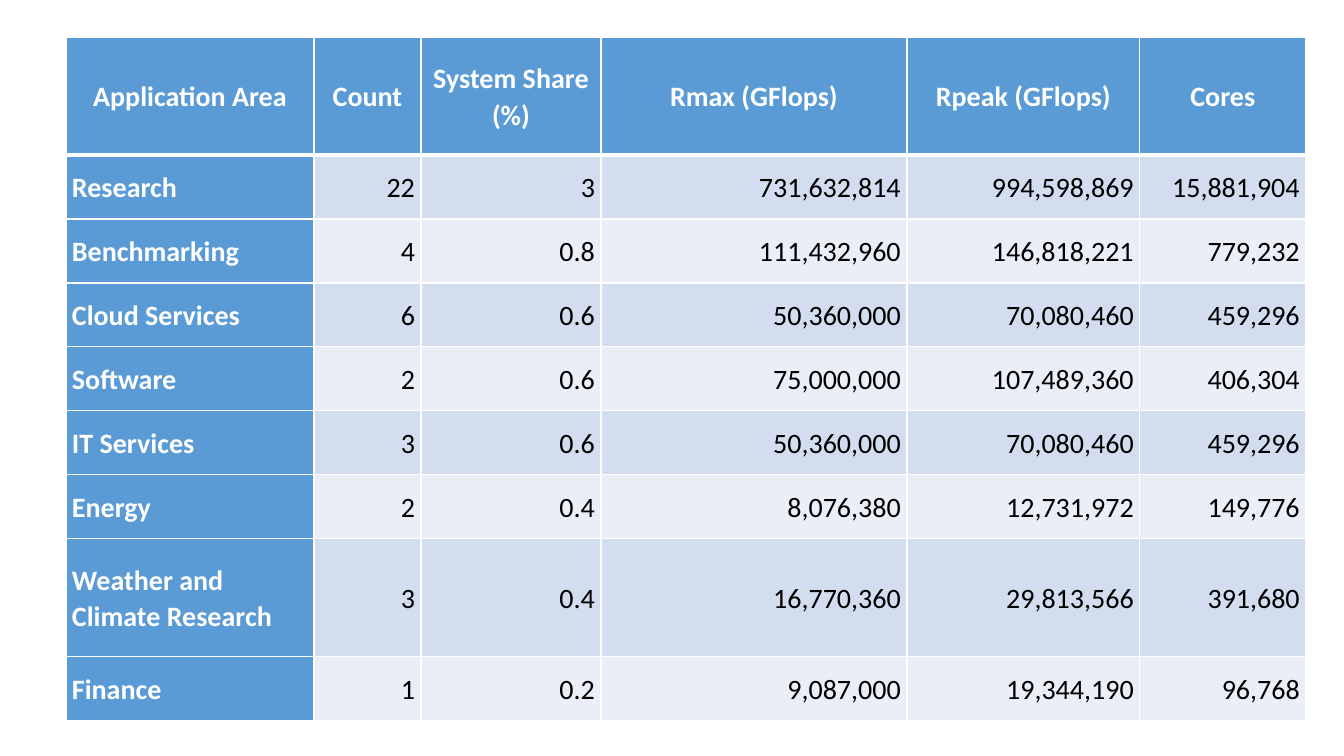
import dataclasses

import lxml.etree
import pptx
import pptx.dml.color
import pptx.enum.text
import pptx.oxml.ns
import pptx.util

SLIDE_WIDTH, SLIDE_HEIGHT = 1344, 756
EMU_PER_PX = pptx.util.Inches(7.5) / SLIDE_HEIGHT
ALIGN = pptx.enum.text.PP_ALIGN


@dataclasses.dataclass(frozen=True)
class Theme:
    font: str = "Calibri"
    text_size: int = 20
    space_after: int = 8
    line_spacing: float = 1.07
    heading_fill: str = "5B9BD5"
    heading_text: str = "FFFFFF"
    body_text: str = "000000"
    bands: tuple = ("D2DEEF", "EAEFF7")
    border: str = "FFFFFF"
    thin: int = 1
    thick: int = 3


THEME = Theme()

TABLE_LEFT, TABLE_TOP = 66, 37
COLUMN_WIDTHS = (248, 107, 180, 306, 233, 166)
ROW_HEIGHT, TALL_ROW_HEIGHT = 64, 118
TALL_ROWS = ("Application Area", "Weather and Climate Research")
SIDE_MARGIN, END_MARGIN = 6, 2

ROWS = (
    ("Application Area", "Count", "System Share (%)", "Rmax (GFlops)", "Rpeak (GFlops)", "Cores"),
    ("Research", "22", "3", "731,632,814", "994,598,869", "15,881,904"),
    ("Benchmarking", "4", "0.8", "111,432,960", "146,818,221", "779,232"),
    ("Cloud Services", "6", "0.6", "50,360,000", "70,080,460", "459,296"),
    ("Software", "2", "0.6", "75,000,000", "107,489,360", "406,304"),
    ("IT Services", "3", "0.6", "50,360,000", "70,080,460", "459,296"),
    ("Energy", "2", "0.4", "8,076,380", "12,731,972", "149,776"),
    ("Weather and Climate Research", "3", "0.4", "16,770,360", "29,813,566", "391,680"),
    ("Finance", "1", "0.2", "9,087,000", "19,344,190", "96,768"),
)


def px(length):
    return pptx.util.Emu(round(length * EMU_PER_PX))


def rgb(color):
    return pptx.dml.color.RGBColor.from_string(color)


def add_borders(cell, top, bottom):
    """Draw all four cell borders; must run before the fill is set (schema order)."""
    qn = pptx.oxml.ns.qn
    properties = cell._tc.get_or_add_tcPr()
    widths = {"a:lnL": THEME.thin, "a:lnR": THEME.thin, "a:lnT": top, "a:lnB": bottom}
    for tag, width in widths.items():
        line = lxml.etree.SubElement(properties, qn(tag), w=str(pptx.util.Pt(width)))
        fill = lxml.etree.SubElement(line, qn("a:solidFill"))
        lxml.etree.SubElement(fill, qn("a:srgbClr"), val=THEME.border)


def write_cell(cell, text, align, color, bold):
    cell.vertical_anchor = pptx.enum.text.MSO_ANCHOR.MIDDLE
    cell.margin_left = cell.margin_right = px(SIDE_MARGIN)
    cell.margin_top = cell.margin_bottom = px(END_MARGIN)
    para = cell.text_frame.paragraphs[0]
    para.alignment = align
    para.line_spacing = THEME.line_spacing
    para.space_after = pptx.util.Pt(THEME.space_after)
    span = para.add_run()
    span.text = text
    span.font.name = THEME.font
    span.font.size = pptx.util.Pt(THEME.text_size)
    span.font.bold = bold
    span.font.color.rgb = rgb(color)


def format_cell(cell, text, row, column):
    """Style a cell as column heading, row heading or banded figure."""
    is_heading = row == 0 or column == 0
    if row == 0:
        align = ALIGN.CENTER
    else:
        align = ALIGN.LEFT if column == 0 else ALIGN.RIGHT
    color = THEME.heading_text if is_heading else THEME.body_text
    write_cell(cell, text, align, color, is_heading)
    add_borders(
        cell,
        top=THEME.thick if row == 1 else THEME.thin,
        bottom=THEME.thick if row == 0 else THEME.thin,
    )
    cell.fill.solid()
    cell.fill.fore_color.rgb = rgb(THEME.heading_fill if is_heading else THEME.bands[(row - 1) % 2])


def add_application_table(page):
    heights = [TALL_ROW_HEIGHT if values[0] in TALL_ROWS else ROW_HEIGHT for values in ROWS]
    frame = page.shapes.add_table(
        len(ROWS), len(COLUMN_WIDTHS),
        px(TABLE_LEFT), px(TABLE_TOP), px(sum(COLUMN_WIDTHS)), px(sum(heights)),
    )
    table = frame.table
    table.first_col = True
    for column, width in zip(table.columns, COLUMN_WIDTHS):
        column.width = px(width)
    for row, (values, height) in enumerate(zip(ROWS, heights)):
        table.rows[row].height = px(height)
        for column, text in enumerate(values):
            format_cell(table.cell(row, column), text, row, column)


def main():
    deck = pptx.Presentation()
    deck.slide_width, deck.slide_height = px(SLIDE_WIDTH), px(SLIDE_HEIGHT)
    page = deck.slides.add_slide(deck.slide_layouts.get_by_name("Blank"))
    add_application_table(page)
    deck.save("out.pptx")


if __name__ == "__main__":
    main()
